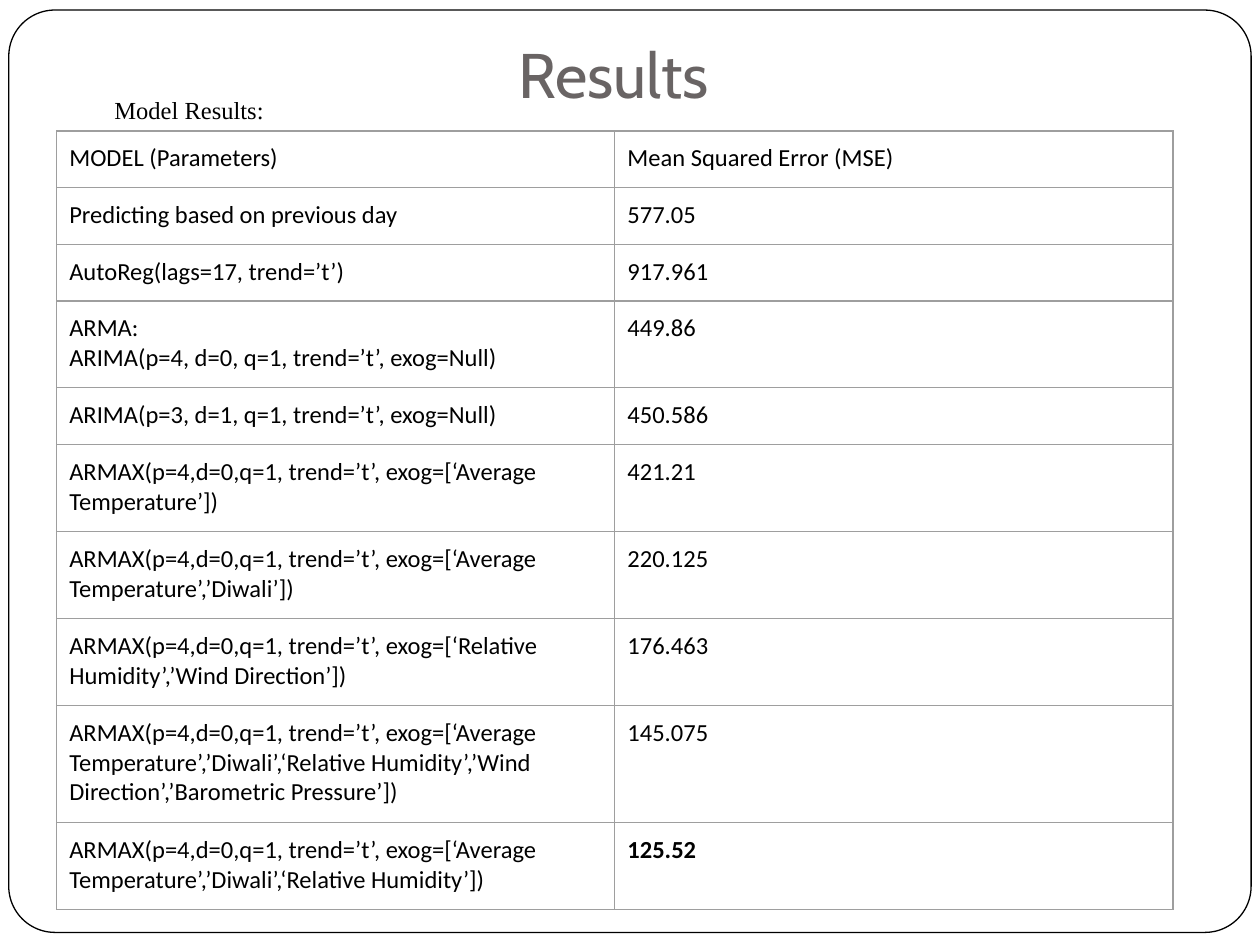
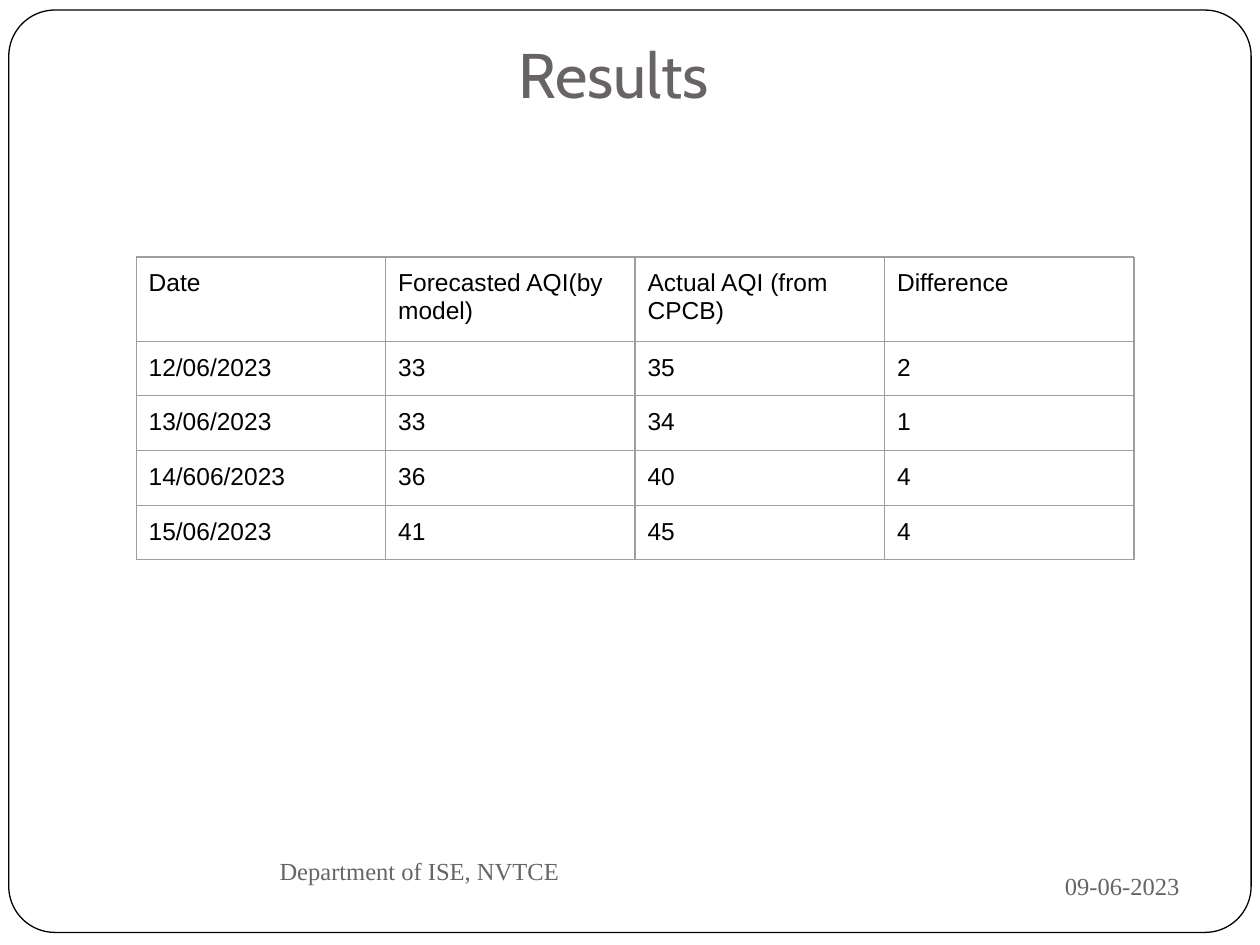
from lxml import etree
from pptx import Presentation
from pptx.dml.color import RGBColor
from pptx.enum.shapes import MSO_SHAPE
from pptx.enum.text import MSO_ANCHOR, PP_ALIGN
from pptx.oxml.ns import qn
from pptx.util import Inches, Pt

ROUNDED = MSO_SHAPE.ROUNDED_RECTANGLE
LEFT, CENTER, RIGHT = PP_ALIGN.LEFT, PP_ALIGN.CENTER, PP_ALIGN.RIGHT
TOP, MIDDLE = MSO_ANCHOR.TOP, MSO_ANCHOR.MIDDLE

COLORS = {"paper": "FFFFFF", "ink": "000000", "muted": "696464", "grid": "9E9E9E"}
TITLE_FONT, NOTE_FONT = "Cabin", "Times New Roman"
BODY_SIZE = 14
PADDING = 0.1

MODEL_RESULTS = [
    ("MODEL (Parameters)", "Mean Squared Error (MSE)"),
    ("Predicting based on previous day", "577.05"),
    ("AutoReg(lags=17, trend=’t’)", "917.961"),
    ("ARMA:\nARIMA(p=4, d=0, q=1, trend=’t’, exog=Null)", "449.86"),
    ("ARIMA(p=3, d=1, q=1, trend=’t’, exog=Null)", "450.586"),
]
ARMAX_RESULTS = [
    ("‘Average Temperature’", "421.21"),
    ("‘Average Temperature’,’Diwali’", "220.125"),
    ("‘Relative Humidity’,’Wind Direction’", "176.463"),
    ("‘Average Temperature’,’Diwali’,‘Relative Humidity’,"
     "’Wind Direction’,’Barometric Pressure’", "145.075"),
    ("‘Average Temperature’,’Diwali’,‘Relative Humidity’", "125.52"),
]
MODEL_RESULTS += [
    (f"ARMAX(p=4,d=0,q=1, trend=’t’, exog=[{inputs}])", error)
    for inputs, error in ARMAX_RESULTS
]
MODEL_LINES = [1, 1, 1, 2, 1, 2, 2, 2, 3, 2]

FORECASTS = [
    ("Date", "Forecasted AQI(by model)", "Actual AQI (from CPCB)", "Difference"),
    ("12/06/2023", "33", "35", "2"),
    ("13/06/2023", "33", "34", "1"),
    ("14/606/2023", "36", "40", "4"),
    ("15/06/2023", "41", "45", "4"),
]
FORECAST_LINES = [2, 1, 1, 1, 1]


def rgb(name):
    return RGBColor.from_string(COLORS[name])


class ResultsDeck:
    def __init__(self):
        self.deck = Presentation()
        self.deck.slide_width = Inches(10)
        self.deck.slide_height = Inches(7.5)
        self.page = None

    def new_page(self, title):
        self.page = self.deck.slides.add_slide(self.deck.slide_layouts[6])
        self.frame()
        self.text(title, 0.75, 0.18, 8.24, 0.96, TITLE_FONT, 36, "muted", CENTER)

    def frame(self):
        border = self.page.shapes.add_shape(
            ROUNDED, Inches(0.07), Inches(0.08), Inches(9.86), Inches(7.32))
        border.adjustments[0] = 0.05
        border.shadow.inherit = False
        border.fill.solid()
        border.fill.fore_color.rgb = rgb("paper")
        border.line.color.rgb = rgb("ink")
        border.line.width = Pt(0.75)

    def style(self, para, font, size, color):
        para.font.name = font
        para.font.size = Pt(size)
        para.font.color.rgb = rgb(color)

    def text(self, words, left, top, width, height, font, size, color,
             align=LEFT, anchor=TOP):
        box = self.page.shapes.add_textbox(
            Inches(left), Inches(top), Inches(width), Inches(height))
        frame = box.text_frame
        frame.word_wrap = True
        frame.vertical_anchor = anchor
        frame.margin_left = frame.margin_right = Inches(PADDING)
        frame.margin_top = frame.margin_bottom = Inches(PADDING)
        para = frame.paragraphs[0]
        para.text = words
        para.alignment = align
        self.style(para, font, size, color)

    def outline(self, cell):
        properties = cell._tc.get_or_add_tcPr()
        for side in ("a:lnL", "a:lnR", "a:lnT", "a:lnB"):
            line = etree.SubElement(properties, qn(side), w=str(Pt(0.75)))
            fill = etree.SubElement(line, qn("a:solidFill"))
            etree.SubElement(fill, qn("a:srgbClr"), val=COLORS["grid"])

    def table(self, rows, lines, left, top, column_width, line_height, font):
        heights = [Inches(0.21 + line_height * count) for count in lines]
        columns = len(rows[0])
        grid = self.page.shapes.add_table(
            len(rows), columns, Inches(left), Inches(top),
            Inches(column_width * columns), sum(heights)).table
        grid.first_row = grid.horz_banding = False
        for column in grid.columns:
            column.width = Inches(column_width)
        for row, height, values in zip(grid.rows, heights, rows):
            row.height = height
            for cell, value in zip(row.cells, values):
                cell.text = value
                cell.margin_left = cell.margin_right = Inches(PADDING)
                cell.margin_top = cell.margin_bottom = Inches(PADDING)
                self.outline(cell)
                cell.fill.background()
                for para in cell.text_frame.paragraphs:
                    self.style(para, font, BODY_SIZE, "ink")
        return grid

    def note(self, words, left, top, width, height, color="muted",
             align=LEFT, anchor=MIDDLE):
        self.text(words, left, top, width, height, NOTE_FONT, BODY_SIZE,
                  color, align, anchor)


def main():
    results = ResultsDeck()

    results.new_page("Results")
    results.note("Model Results:", 0.81, 0.65, 4, 0.42, "ink", anchor=TOP)
    models = results.table(MODEL_RESULTS, MODEL_LINES, 0.45, 1.04, 4.43, 0.24, "Calibri")
    best_error = models.cell(len(MODEL_RESULTS) - 1, 1)
    best_error.text_frame.paragraphs[0].font.bold = True

    results.new_page("Results")
    results.table(FORECASTS, FORECAST_LINES, 1.08, 2.04, 1.98, 0.21, "Arial")
    results.note("Department of ISE, NVTCE", 2.12, 6.71, 6.25, 0.4)
    results.note("09-06-2023", 6.75, 6.77, 2.71, 0.52, align=RIGHT)

    results.deck.save("out.pptx")


if __name__ == "__main__":
    main()
